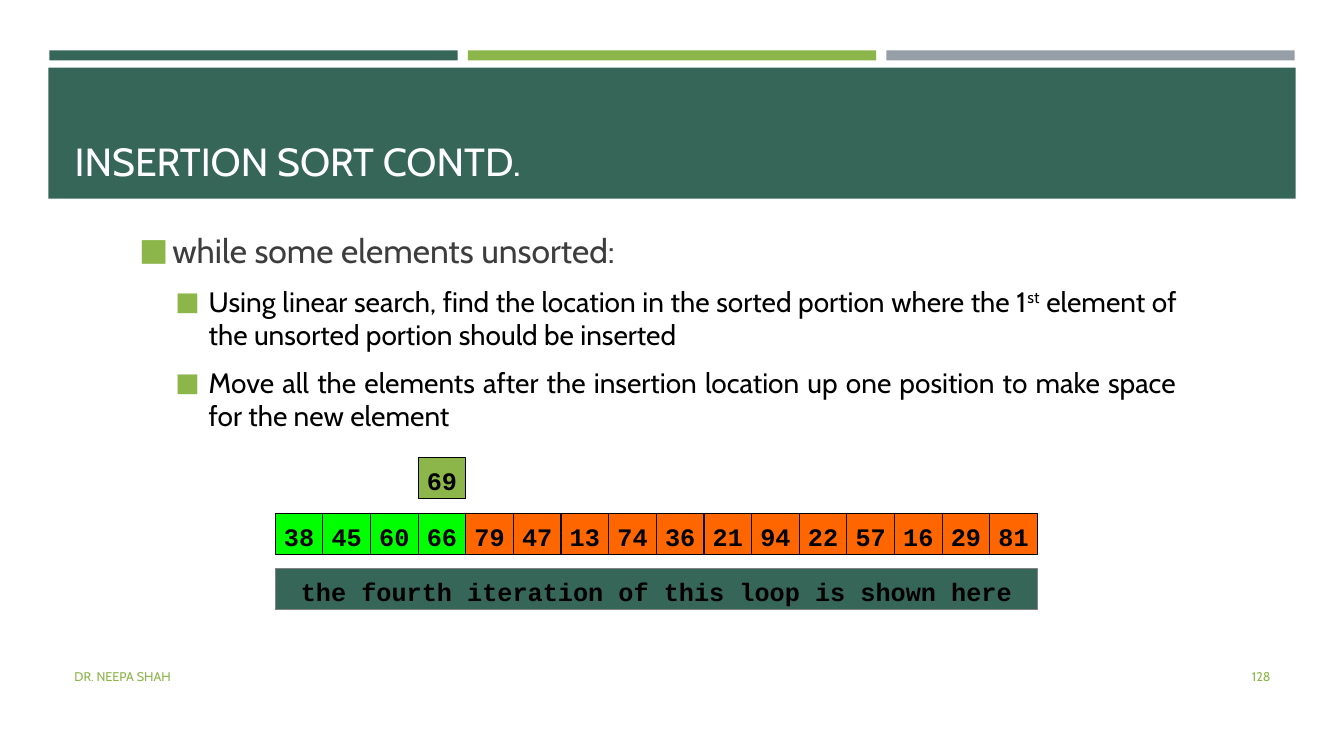
from dataclasses import dataclass
from lxml.etree import SubElement
from pptx import Presentation
from pptx.dml.color import RGBColor
from pptx.enum.shapes import MSO_SHAPE
from pptx.enum.text import MSO_ANCHOR, MSO_AUTO_SIZE, PP_ALIGN
from pptx.oxml.ns import qn
from pptx.util import Inches, Pt


@dataclass(frozen=True)
class Theme:
    """Colours, fonts and type sizes of the slide."""
    pine: str = "366658"
    leaf: str = "8CB64A"
    slate: str = "969FA7"
    sorted_green: str = "00FF00"
    unsorted_orange: str = "FF6600"
    caption_edge: str = "828282"
    ink: str = "000000"
    charcoal: str = "3D3D3D"
    white: str = "FFFFFF"
    sans: str = "Cabin"
    mono: str = "Courier New"
    title_size: int = 28
    lead_size: int = 24
    step_size: int = 20
    number_size: int = 18
    footer_size: int = 9


def write(paragraph, text, *, size, color, font, bold=False, align=PP_ALIGN.LEFT):
    """Write text into a paragraph, raising what stands between carets."""
    paragraph.alignment = align
    for position, piece in enumerate(text.split("^")):
        run = paragraph.add_run()
        run.text = piece
        run.font.size = Pt(size)
        run.font.name = font
        run.font.bold = bold
        run.font.color.rgb = RGBColor.from_string(color)
        if position % 2:
            run.font._element.set("baseline", "30000")


class SlideBuilder:
    """Places styled elements on the current slide."""

    def __init__(self, slide, theme):
        """Keep the slide and its theme."""
        self.slide = slide
        self.theme = theme

    def box(self, left, top, width, height, fill, edge=None, weight=0.75):
        """Draw a filled rectangle."""
        rectangle = self.slide.shapes.add_shape(
            MSO_SHAPE.RECTANGLE, Inches(left), Inches(top), Inches(width), Inches(height))
        rectangle.shadow.inherit = False
        rectangle.fill.solid()
        rectangle.fill.fore_color.rgb = RGBColor.from_string(fill)
        if edge:
            rectangle.line.color.rgb = RGBColor.from_string(edge)
            rectangle.line.width = Pt(weight)
        else:
            rectangle.line.fill.background()
        return rectangle

    def label_box(self, text, left, top, width, fill, edge, weight=0.75):
        """Draw a rectangle with centred monospaced text."""
        frame = self.box(left, top, width, 0.41, fill, edge, weight).text_frame
        frame.margin_left = frame.margin_right = Inches(0.05)
        frame.margin_top, frame.margin_bottom = Inches(0.08), Inches(0.03)
        frame.vertical_anchor = MSO_ANCHOR.MIDDLE
        write(frame.paragraphs[0], text, size=self.theme.number_size, color=self.theme.ink,
              font=self.theme.mono, bold=True, align=PP_ALIGN.CENTER)

    def placeholder(self, index, left, top, width, height, anchor):
        """Move a placeholder in front of the bands and return its text frame."""
        holder = self.slide.placeholders[index]
        holder.left, holder.top = Inches(left), Inches(top)
        holder.width, holder.height = Inches(width), Inches(height)
        self.slide.shapes._spTree.append(holder._element)
        frame = holder.text_frame
        frame.word_wrap = True
        frame.auto_size = MSO_AUTO_SIZE.NONE
        frame.vertical_anchor = anchor
        return frame

    def title(self, text):
        """Fill the title placeholder."""
        frame = self.placeholder(0, 0.64, 0.77, 12.06, 1.11, MSO_ANCHOR.BOTTOM)
        write(frame.paragraphs[0], text, size=self.theme.title_size,
              color=self.theme.white, font=self.theme.sans)

    def bullet(self, paragraph, indent):
        """Give a paragraph a square bullet with a hanging indent."""
        properties = paragraph._p.get_or_add_pPr()
        properties.set("marL", str(Inches(indent)))
        properties.set("indent", str(-Inches(0.33)))
        tint = SubElement(properties, qn("a:buClr"))
        SubElement(tint, qn("a:srgbClr"), val=self.theme.leaf)
        SubElement(properties, qn("a:buSzPct"), val="92000")
        SubElement(properties, qn("a:buFont"), typeface=self.theme.sans)
        SubElement(properties, qn("a:buChar"), char="■")

    def outline(self, lead, steps):
        """Fill the body placeholder with a lead line and its steps."""
        theme = self.theme
        frame = self.placeholder(1, 1.28, 1.85, 10.49, 2.87, MSO_ANCHOR.MIDDLE)
        for order, text in enumerate([lead, *steps]):
            paragraph = frame.add_paragraph() if order else frame.paragraphs[0]
            paragraph.level = 1 if order else 0
            self.bullet(paragraph, 0.69 if order else 0.33)
            paragraph.space_before = Pt(4 if order else 0)
            paragraph.space_after = Pt(6)
            write(paragraph, text, font=theme.sans,
                  size=theme.step_size if order else theme.lead_size,
                  color=theme.ink if order else theme.charcoal,
                  align=PP_ALIGN.JUSTIFY if order else PP_ALIGN.LEFT)

    def footer(self, text, left, width, align):
        """Add a small line of text at the foot of the slide."""
        frame = self.slide.shapes.add_textbox(
            Inches(left), Inches(6.51), Inches(width), Inches(0.4)).text_frame
        frame.word_wrap = True
        frame.vertical_anchor = MSO_ANCHOR.MIDDLE
        write(frame.paragraphs[0], text, size=self.theme.footer_size,
              color=self.theme.leaf, font=self.theme.sans, align=align)


def main():
    """Build the insertion sort slide."""
    theme = Theme()
    deck = Presentation()
    deck.slide_width, deck.slide_height = Inches(13.33), Inches(7.5)
    builder = SlideBuilder(deck.slides.add_slide(deck.slide_layouts[1]), theme)

    for column, stripe in enumerate((theme.pine, theme.leaf, theme.slate)):
        builder.box(0.49 + column * 4.15, 0.5, 4.05, 0.1, stripe)
    builder.box(0.48, 0.67, 12.37, 1.3, theme.pine)
    builder.title("INSERTION SORT CONTD.")
    builder.outline("while some elements unsorted:", [
        "Using linear search, find the location in the sorted portion where the 1^st^ "
        "element of the unsorted portion should be inserted",
        "Move all the elements after the insertion location up one position to make "
        "space for the new element",
    ])

    numbers = (38, 45, 60, 66, 79, 47, 13, 74, 36, 21, 94, 22, 57, 16, 29, 81)
    sorted_count = 4
    row_left, row_width = 2.73, 7.56
    cell = row_width / len(numbers)
    for place, number in enumerate(numbers):
        fill = theme.sorted_green if place < sorted_count else theme.unsorted_orange
        builder.label_box(str(number), row_left + place * cell, 5.09, cell, fill, theme.ink)
    builder.label_box("69", row_left + (sorted_count - 1) * cell, 4.54, cell,
                      theme.leaf, theme.ink)
    builder.label_box("the fourth iteration of this loop is shown here", row_left, 5.64,
                      row_width, theme.pine, theme.caption_edge, 1)

    builder.footer("128", 11.55, 1.15, PP_ALIGN.RIGHT)
    builder.footer("DR. NEEPA SHAH", 0.64, 7.56, PP_ALIGN.LEFT)
    deck.save("out.pptx")


if __name__ == "__main__":
    main()
